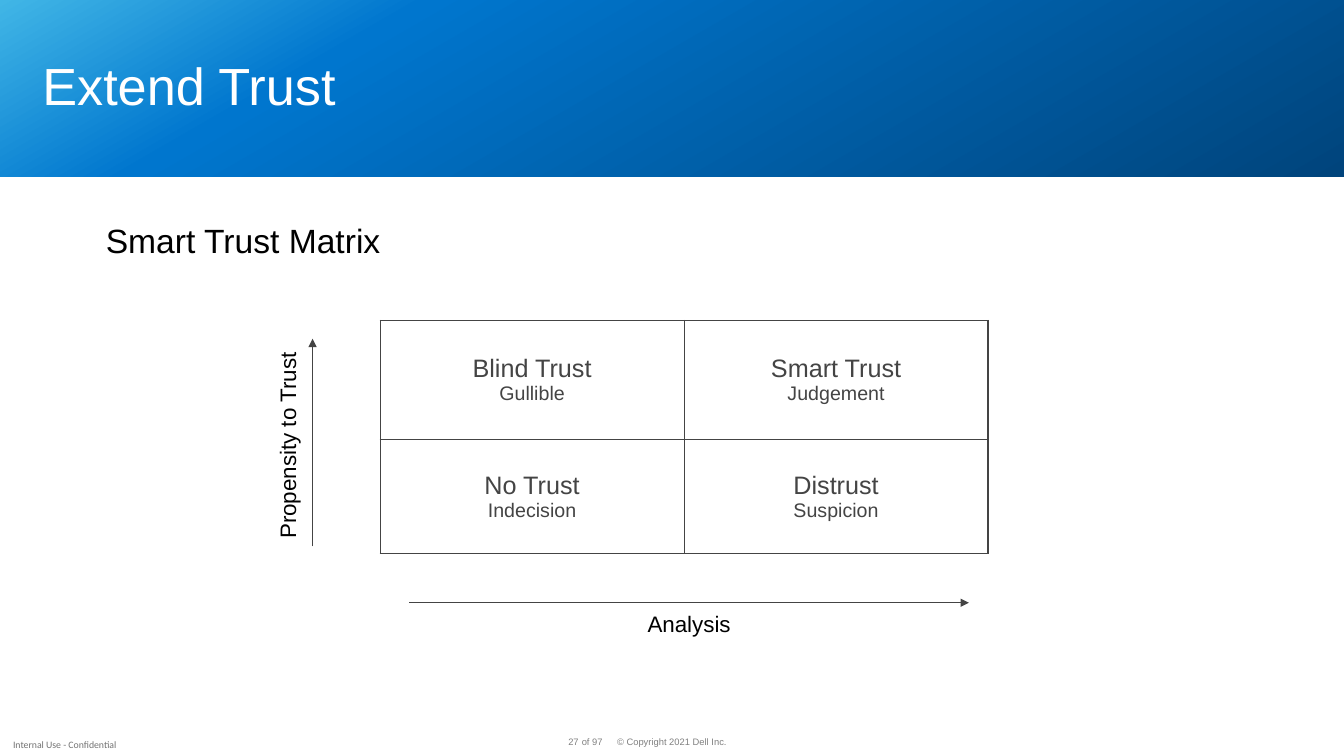
from lxml import etree
from pptx import Presentation
from pptx import util as u
from pptx.dml.color import RGBColor
from pptx.enum import shapes, text
from pptx.oxml import parse_xml
from pptx.oxml.ns import nsdecls, qn

BLACK, WHITE, DARK, GREY, PALE = "000000", "FFFFFF", "444444", "737373", "808080"
LEFT, CENTER, RIGHT = text.PP_ALIGN.LEFT, text.PP_ALIGN.CENTER, text.PP_ALIGN.RIGHT


def color(value):
    return RGBColor.from_string(value)


def write(paragraph, words, size=16, ink=BLACK, font="Arial", align=LEFT, spacing=0.9):
    paragraph.alignment = align
    paragraph.line_spacing = spacing
    run = paragraph.add_run()
    run.text = words
    run.font.size = u.Pt(size)
    run.font.name = font
    run.font.color.rgb = color(ink)


class Page:
    line_color = DARK
    line_width = u.Pt(1)

    def __init__(self, slide):
        self.slide = slide
        self.shapes = slide.shapes

    def frame(self, holder, wrap=True):
        body = holder.text_frame
        body.margin_left = body.margin_right = body.margin_top = body.margin_bottom = 0
        body.vertical_anchor = text.MSO_ANCHOR.MIDDLE
        body.auto_size = text.MSO_AUTO_SIZE.NONE
        body.word_wrap = wrap
        return body.paragraphs[0]

    def title(self, words, box, **style):
        heading = self.shapes.title
        heading.left, heading.top, heading.width, heading.height = map(u.Inches, box)
        write(self.frame(heading), words, **style)

    def label(self, words, box, turn=0, wrap=True, **style):
        holder = self.shapes.add_textbox(*map(u.Inches, box))
        holder.rotation = turn
        write(self.frame(holder, wrap), words, **style)

    def banner(self, box, stops, angle):
        band = self.shapes.add_shape(shapes.MSO_SHAPE.RECTANGLE, *map(u.Inches, box))
        band.shadow.inherit = False
        band.line.fill.background()
        marks = "".join(
            f'<a:gs pos="{percent * 1000}"><a:srgbClr val="{tint}"/></a:gs>'
            for percent, tint in stops)
        gradient = parse_xml(
            f'<a:gradFill {nsdecls("a")} rotWithShape="1"><a:gsLst>{marks}</a:gsLst>'
            f'<a:lin ang="{angle * 60000}" scaled="0"/></a:gradFill>')
        band._element.spPr.find(qn("a:prstGeom")).addnext(gradient)
        self.shapes._spTree.insert(2, band._element)

    def arrow(self, start, end):
        axis = self.shapes.add_connector(
            shapes.MSO_CONNECTOR.STRAIGHT, *map(u.Inches, start + end))
        axis.line.color.rgb = color(self.line_color)
        axis.line.width = self.line_width
        etree.SubElement(axis.line._get_or_add_ln(), qn("a:tailEnd"), type="triangle")
        etree.SubElement(axis._element.spPr, qn("a:effectLst"))

    def outline(self, cell):
        properties = cell._tc.get_or_add_tcPr()
        for side in ("lnL", "lnR", "lnT", "lnB"):
            properties.append(parse_xml(
                f'<a:{side} {nsdecls("a")} w="{self.line_width}"><a:solidFill>'
                f'<a:srgbClr val="{self.line_color}"/></a:solidFill></a:{side}>'))
        cell.fill.background()

    def matrix(self, quadrants, box, heights):
        table = self.shapes.add_table(
            len(quadrants), len(quadrants[0]), *map(u.Inches, box)).table
        table.first_row = table.horz_banding = False
        for row, height, entries in zip(table.rows, heights, quadrants):
            row.height = u.Inches(height)
            for cell, (name, outcome) in zip(row.cells, entries):
                self.outline(cell)
                cell.vertical_anchor = text.MSO_ANCHOR.MIDDLE
                body = cell.text_frame
                write(body.paragraphs[0], name, size=18, ink=DARK,
                      align=CENTER, spacing=1)
                write(body.add_paragraph(), outcome, size=14, ink=DARK,
                      align=CENTER, spacing=1)


def main():
    deck = Presentation()
    deck.slide_width, deck.slide_height = u.Inches(13.33), u.Inches(7.5)
    page = Page(deck.slides.add_slide(deck.slide_layouts[5]))

    page.banner((0, 0, 13.33, 1.75),
                [(0, "41B6E6"), (26, "0076CE"), (100, "00447C")], 60)
    page.title("Extend Trust", (0.42, 0.59, 12.5, 0.57), size=37.3, ink=WHITE)
    page.label("Smart Trust Matrix", (1.05, 2.23, 8.56, 0.36), size=24)

    page.matrix([[("Blind Trust", "Gullible"), ("Smart Trust", "Judgement")],
                 [("No Trust", "Indecision"), ("Distrust", "Suspicion")]],
                (3.77, 3.18, 6.03, 2.31), (1.18, 1.13))
    page.arrow((3.1, 5.42), (3.1, 3.36))
    page.arrow((4.06, 5.98), (9.61, 5.98))
    page.label("Propensity to Trust", (1.63, 4.3, 2.47, 0.24), turn=270, align=CENTER)
    page.label("Analysis", (5.6, 6.08, 2.47, 0.24), align=CENTER)

    footer = dict(wrap=False, size=6.7, ink=PALE)
    page.label("27", (5.62, 7.32, 0.12, 0.1), align=RIGHT, **footer)
    page.label("of 97", (5.77, 7.32, 0.21, 0.1), **footer)
    page.label("© Copyright 2021 Dell Inc.", (6.12, 7.32, 1.1, 0.1), **footer)
    page.label("Internal Use - Confidential", (0.13, 7.27, 1.3, 0.23),
               size=7, ink=GREY, font="Calibri", spacing=1)
    deck.save("out.pptx")


if __name__ == "__main__":
    main()
